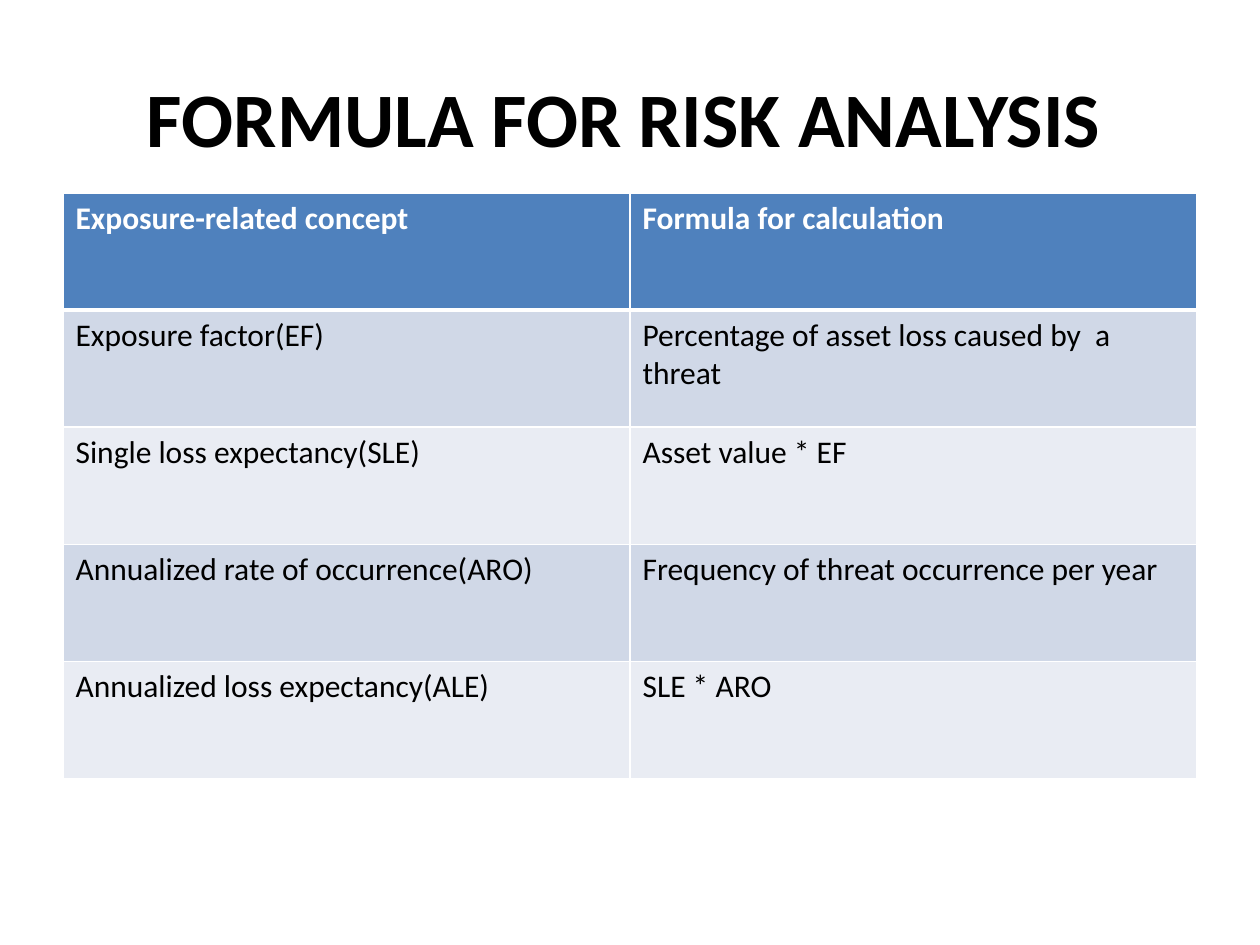
"""Build a slide with a table of risk analysis formulas."""
from lxml import etree
from pptx import Presentation
from pptx.dml.color import RGBColor
from pptx.enum.text import MSO_ANCHOR, PP_ALIGN
from pptx.oxml.ns import qn
from pptx.util import Inches, Pt

MIDDLE = MSO_ANCHOR.MIDDLE
CENTER = PP_ALIGN.CENTER
WHITE = RGBColor(0xFF, 0xFF, 0xFF)
BLACK = RGBColor(0x00, 0x00, 0x00)
BLUE = RGBColor(0x4F, 0x81, 0xBD)
BAND_DARK = RGBColor(0xD0, 0xD8, 0xE7)
BAND_LIGHT = RGBColor(0xE9, 0xEC, 0xF3)

THIN, THICK = Pt(0.96), Pt(3)
TITLE_FONT = {"name": "Calibri", "size": Pt(44), "bold": True}
HEADER_FONT = {"name": "Calibri", "size": Pt(18), "bold": True}
BODY_FONT = {"name": "Calibri", "size": Pt(18), "bold": False}

ROWS = [
    ("Exposure-related concept", "Formula for calculation"),
    ("Exposure factor(EF)", "Percentage of asset loss caused by  a threat"),
    ("Single loss expectancy(SLE)", "Asset value * EF"),
    ("Annualized rate of occurrence(ARO)", "Frequency of threat occurrence per year"),
    ("Annualized loss expectancy(ALE)", "SLE * ARO"),
]


def add_text(p, text, font, color):
    r = p.add_run()
    r.text = text
    for name, value in font.items():
        setattr(r.font, name, value)
    r.font.color.rgb = color


def set_borders(cell, widths, color):
    tcPr = cell._tc.get_or_add_tcPr()
    for i, (side, width) in enumerate(widths.items()):
        ln = etree.Element(qn(f"a:ln{side}"), w=str(int(width)))
        fill = etree.SubElement(ln, qn("a:solidFill"))
        etree.SubElement(fill, qn("a:srgbClr"), val=str(color))
        tcPr.insert(i, ln)


prs = Presentation()
prs.slide_width, prs.slide_height = Inches(10), Inches(7.5)
s = prs.slides.add_slide(prs.slide_layouts[6])

table = s.shapes.add_table(
    len(ROWS), 2, Inches(0.5), Inches(1.53), Inches(9), Inches(4.65)
).table
for i, row in enumerate(ROWS):
    table.rows[i].height = Inches(0.93)
    if i == 0:
        font, color, fill = HEADER_FONT, WHITE, BLUE
    else:
        font, color, fill = BODY_FONT, BLACK, BAND_DARK if i % 2 else BAND_LIGHT
    widths = {
        "L": THIN,
        "R": THIN,
        "T": THICK if i == 1 else THIN,
        "B": THICK if i == 0 else THIN,
    }
    for j, text in enumerate(row):
        cell = table.cell(i, j)
        cell.fill.solid()
        cell.fill.fore_color.rgb = fill
        set_borders(cell, widths, WHITE)
        add_text(cell.text_frame.paragraphs[0], text, font, color)

sp = s.shapes.add_textbox(Inches(0.58), Inches(0.3), Inches(8.75), Inches(1.25))
tf = sp.text_frame
tf.word_wrap = True
tf.vertical_anchor = MIDDLE
p = tf.paragraphs[0]
p.alignment = CENTER
add_text(p, "FORMULA FOR RISK ANALYSIS", TITLE_FONT, BLACK)

prs.save("out.pptx")
